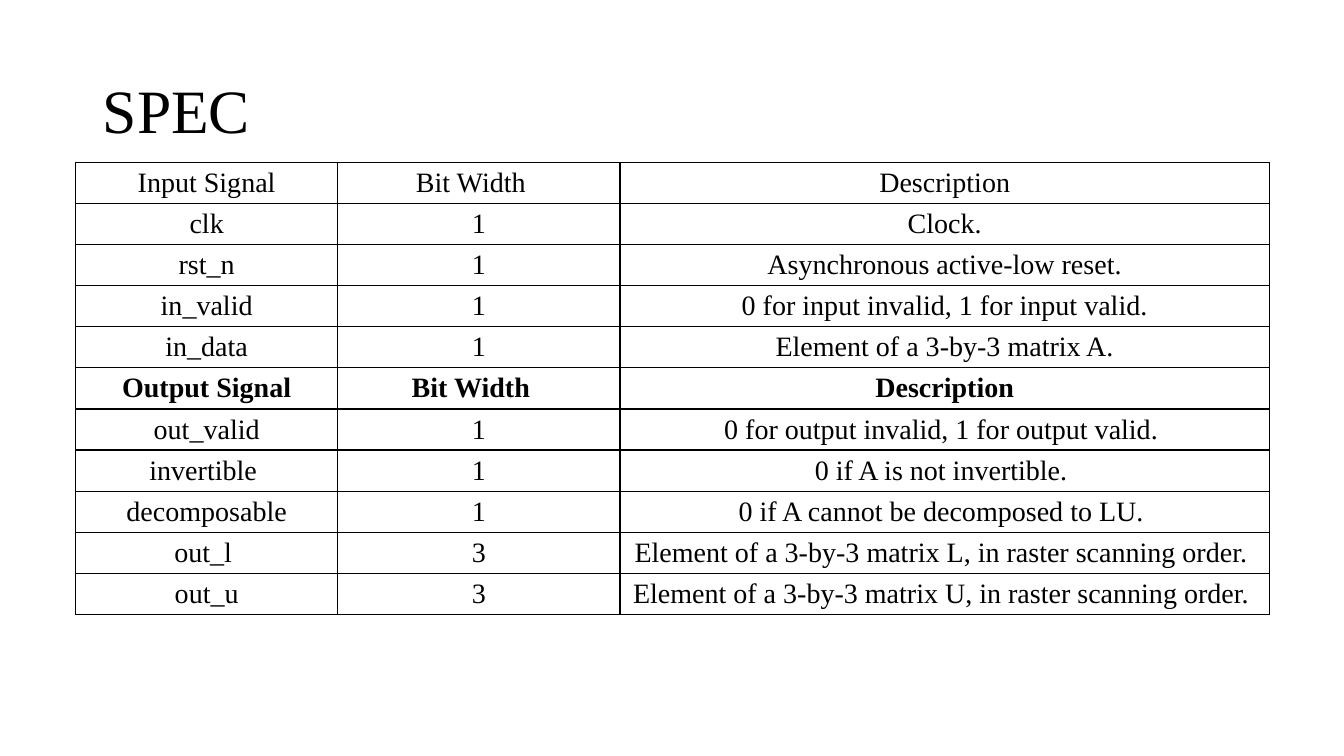
from lxml.etree import SubElement
from pptx import Presentation
from pptx.dml.color import RGBColor
from pptx.enum.text import MSO_ANCHOR, PP_ALIGN
from pptx.oxml.ns import qn
from pptx.util import Inches, Pt

FONT = "Times New Roman"
BLACK = "000000"
COLUMNS = (2.6, 2.8, 6.44)
ROW_HEIGHT = 4.49 / 11
HEADER_SHIFT = 0.16
INPUTS = [
    ("Input Signal", "Bit Width", "Description"),
    ("clk", "1", "Clock."),
    ("rst_n", "1", "Asynchronous active-low reset."),
    ("in_valid", "1", "0 for input invalid, 1 for input valid."),
    ("in_data", "1", "Element of a 3-by-3 matrix A."),
]
OUTPUTS = [
    ("Output Signal", "Bit Width", "Description"),
    ("out_valid", "1", "0 for output invalid, 1 for output valid. "),
    ("invertible ", "1", "0 if A is not invertible. "),
    ("decomposable", "1", "0 if A cannot be decomposed to LU. "),
    ("out_l ", "3", "Element of a 3-by-3 matrix L, in raster scanning order. "),
    ("out_u", "3", "Element of a 3-by-3 matrix U, in raster scanning order. "),
]


def rgb(color):
    return RGBColor.from_string(color)


def write(tf, text, size=20, bold=False, align=PP_ALIGN.CENTER, spacing=1.0):
    p = tf.paragraphs[0]
    p.alignment = align
    p.line_spacing = spacing
    r = p.add_run()
    r.text = text
    r.font.name = FONT
    r.font.size = Pt(size)
    r.font.bold = bold
    r.font.color.rgb = rgb(BLACK)


def set_borders(cell, color=BLACK, width=1):
    tc_pr = cell._tc.get_or_add_tcPr()
    for side in ("a:lnL", "a:lnR", "a:lnT", "a:lnB"):
        ln = SubElement(tc_pr, qn(side), w=str(Pt(width)))
        fill = SubElement(ln, qn("a:solidFill"))
        SubElement(fill, qn("a:srgbClr"), val=color)


def add_title(s, text, x, y, w, h):
    title = s.shapes.title
    title.left, title.top, title.width, title.height = map(Inches, (x, y, w, h))
    tf = title.text_frame
    tf.vertical_anchor = MSO_ANCHOR.MIDDLE
    write(tf, text, size=44, align=PP_ALIGN.LEFT, spacing=0.9)


def add_spec_table(s, x, y):
    rows = INPUTS + OUTPUTS
    frame = s.shapes.add_table(
        len(rows), len(COLUMNS), Inches(x), Inches(y),
        Inches(sum(COLUMNS)), Inches(ROW_HEIGHT * len(rows)))
    table = frame.table
    table.first_row = table.horz_banding = False
    for column, width in zip(table.columns, COLUMNS):
        column.width = Inches(width)
    for i, (row, values) in enumerate(zip(table.rows, rows)):
        row.height = Inches(ROW_HEIGHT)
        for cell, text in zip(row.cells, values):
            cell.vertical_anchor = MSO_ANCHOR.MIDDLE
            cell.margin_top = cell.margin_bottom = Inches(0.02)
            if text == "Bit Width":
                cell.margin_right = cell.margin_left + Inches(HEADER_SHIFT)
            set_borders(cell)
            cell.fill.background()
            write(cell.text_frame, text, bold=i == len(INPUTS))


def main():
    prs = Presentation()
    prs.slide_width, prs.slide_height = Inches(13.33), Inches(7.5)
    s = prs.slides.add_slide(prs.slide_layouts[5])
    add_title(s, "SPEC", 0.92, 0.4, 11.5, 1.45)
    add_spec_table(s, 0.75, 1.61)
    prs.save("out.pptx")


if __name__ == "__main__":
    main()
